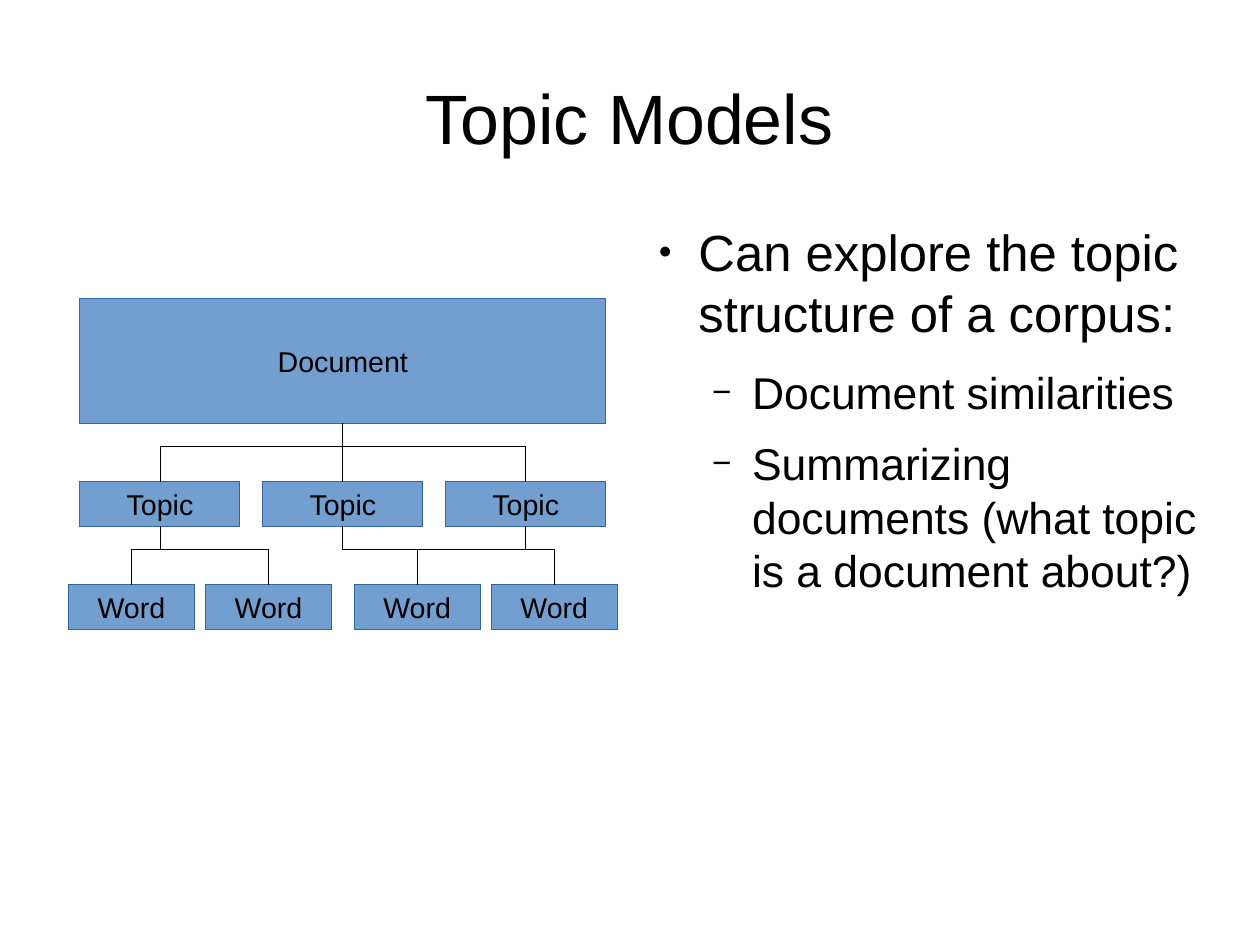
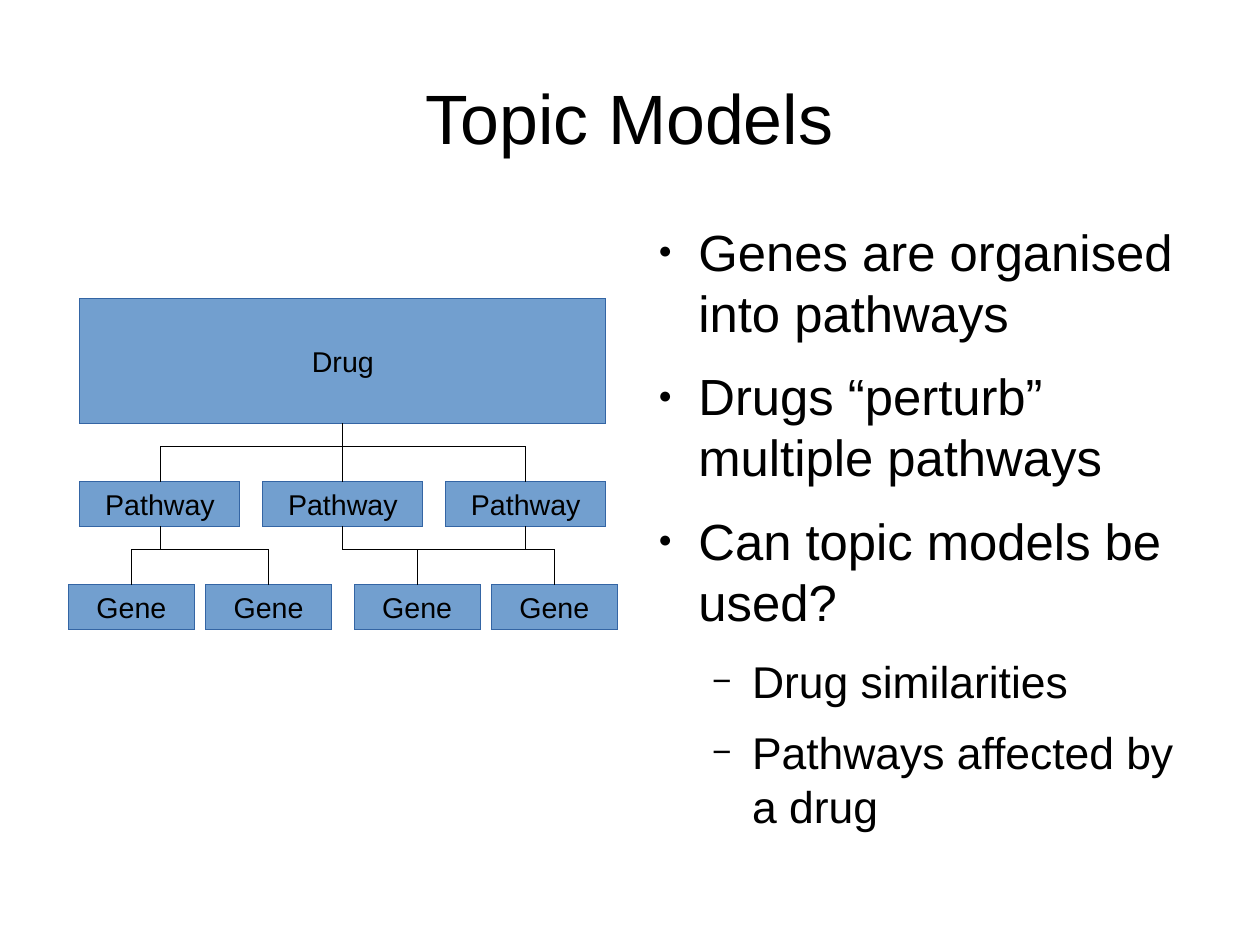
"""Two slides that compare topic models of documents with those of drugs."""
from lxml.etree import SubElement
from pptx import Presentation
from pptx.dml.color import RGBColor
from pptx.enum.shapes import MSO_CONNECTOR, MSO_SHAPE
from pptx.enum.text import MSO_ANCHOR, PP_ALIGN
from pptx.oxml.ns import qn
from pptx.util import Inches, Pt

TITLE = "Topic Models"
SLIDES = [
    {
        "tree": ("Document", "Topic", "Word"),
        "points": [
            (0, "Can explore the topic structure of a corpus:"),
            (1, "Document similarities"),
            (1, "Summarizing documents (what topic is a document about?)"),
        ],
    },
    {
        "tree": ("Drug", "Pathway", "Gene"),
        "points": [
            (0, "Genes are organised into pathways"),
            (0, "Drugs “perturb” multiple pathways"),
            (0, "Can topic models be used?"),
            (1, "Drug similarities"),
            (1, "Pathways affected by a drug"),
        ],
    },
]
BRANCH_TO_LEAF = [(0, 0), (0, 1), (1, 2), (2, 2), (2, 3)]

FONT = "Arial"
COLORS = {"text": "000000", "box": "729FCF", "border": "3465A4", "link": "000000"}
LEVELS = [
    {"size": 32, "after": 14.2, "indent": 0.47, "bullet": "●", "percent": 45},
    {"size": 28, "after": 11.3, "indent": 0.94, "bullet": "−", "percent": 75},
]
CM_PER_INCH = 2.54
SLIDE_WIDTH, SLIDE_HEIGHT = 28 / CM_PER_INCH, 21 / CM_PER_INCH
HANGING = 0.35
ROOT_AT = (0.7, 2.61, 4.6, 1.1)
BRANCH_TOP, BRANCH_WIDTH, BRANCH_GAP = 4.21, 1.4, 0.2
LEAF_LEFT, LEAF_TOP, LEAF_WIDTH, LEAF_GAP, PAIR_GAP = 0.6, 5.11, 1.1, 0.1, 0.1
NODE_HEIGHT = 0.4
TOP_SITE, BOTTOM_SITE = 0, 2
BEND = 39500


def color(name):
    return RGBColor.from_string(COLORS[name])


def style_text(paragraph, size):
    for run in paragraph.runs:
        run.font.name = FONT
        run.font.size = Pt(size)
        run.font.color.rgb = color("text")


def draw_hairline(part, color_name):
    part.line.color.rgb = color(color_name)
    part._element.spPr.find(qn("a:ln")).set("w", "0")


def add_text_area(slide, left, top, width, height):
    frame = slide.shapes.add_textbox(*map(Inches, (left, top, width, height))).text_frame
    frame.word_wrap = True
    frame.margin_left = frame.margin_right = frame.margin_top = frame.margin_bottom = 0
    return frame


def add_title(slide):
    frame = add_text_area(slide, 0.55, 0.33, 9.92, 1.38)
    frame.vertical_anchor = MSO_ANCHOR.MIDDLE
    frame.text = TITLE
    frame.paragraphs[0].alignment = PP_ALIGN.CENTER
    style_text(frame.paragraphs[0], 44)


def add_bullet(paragraph, level):
    properties = paragraph._p.get_or_add_pPr()
    properties.set("marL", str(Inches(level["indent"])))
    properties.set("indent", str(-Inches(HANGING)))
    bullet_color = SubElement(properties, qn("a:buClr"))
    SubElement(bullet_color, qn("a:srgbClr"), val=COLORS["text"])
    SubElement(properties, qn("a:buSzPct"), val=str(level["percent"] * 1000))
    SubElement(properties, qn("a:buFont"), typeface=FONT)
    SubElement(properties, qn("a:buChar"), char=level["bullet"])


def add_points(slide, points):
    frame = add_text_area(slide, 5.64, 1.93, 4.84, 4.79)
    for index, (depth, words) in enumerate(points):
        paragraph = frame.add_paragraph() if index else frame.paragraphs[0]
        level = LEVELS[depth]
        paragraph.text = words
        paragraph.level = depth
        paragraph.space_after = Pt(level["after"])
        add_bullet(paragraph, level)
        style_text(paragraph, level["size"])


def add_node(slide, label, left, top, width, height=NODE_HEIGHT):
    node = slide.shapes.add_shape(
        MSO_SHAPE.FLOWCHART_PROCESS, *map(Inches, (left, top, width, height)))
    node.shadow.inherit = False
    node.fill.solid()
    node.fill.fore_color.rgb = color("box")
    draw_hairline(node, "border")
    frame = node.text_frame
    frame.word_wrap = False
    frame.vertical_anchor = MSO_ANCHOR.MIDDLE
    frame.text = label
    frame.paragraphs[0].alignment = PP_ALIGN.CENTER
    style_text(frame.paragraphs[0], 18)
    return node


def bend_downward(link, start_x, start_y, end_x, end_y):
    """Turn an elbow so that it leaves and arrives vertically."""
    drop, shift = end_y - start_y, abs(end_x - start_x)
    link.left = (start_x + end_x - drop) // 2
    link.top = (start_y + end_y - shift) // 2
    link.width, link.height = drop, shift
    to_right = end_x > start_x
    frame = link._element.spPr.find(qn("a:xfrm"))
    frame.set("rot", str((270 if to_right else 90) * 60000))
    frame.set("flipH", "1" if to_right else "0")
    frame.set("flipV", "0")
    adjustments = link._element.spPr.find(qn("a:prstGeom")).find(qn("a:avLst"))
    SubElement(adjustments, qn("a:gd"), name="adj1", fmla=f"val {BEND}")


def add_link(slide, parent, child):
    ends = (parent.left + parent.width // 2, parent.top + parent.height,
            child.left + child.width // 2, child.top)
    straight = abs(ends[0] - ends[2]) < Inches(0.01)
    kind = MSO_CONNECTOR.STRAIGHT if straight else MSO_CONNECTOR.ELBOW
    link = slide.shapes.add_connector(kind, *ends)
    link.begin_connect(parent, BOTTOM_SITE)
    link.end_connect(child, TOP_SITE)
    if not straight:
        bend_downward(link, *ends)
    draw_hairline(link, "link")
    SubElement(link._element.spPr, qn("a:effectLst"))


def add_tree(slide, root_label, branch_label, leaf_label):
    root = add_node(slide, root_label, *ROOT_AT)
    branches = [
        add_node(slide, branch_label, ROOT_AT[0] + i * (BRANCH_WIDTH + BRANCH_GAP),
                 BRANCH_TOP, BRANCH_WIDTH)
        for i in range(3)
    ]
    leaves = [
        add_node(slide, leaf_label,
                 LEAF_LEFT + i * (LEAF_WIDTH + LEAF_GAP) + i // 2 * PAIR_GAP,
                 LEAF_TOP, LEAF_WIDTH)
        for i in range(4)
    ]
    for branch, leaf in BRANCH_TO_LEAF:
        add_link(slide, branches[branch], leaves[leaf])
    for branch in branches:
        add_link(slide, root, branch)


def main():
    deck = Presentation()
    deck.slide_width, deck.slide_height = Inches(SLIDE_WIDTH), Inches(SLIDE_HEIGHT)
    for content in SLIDES:
        slide = deck.slides.add_slide(deck.slide_layouts[6])
        add_title(slide)
        add_points(slide, content["points"])
        add_tree(slide, *content["tree"])
    deck.save("out.pptx")


if __name__ == "__main__":
    main()
